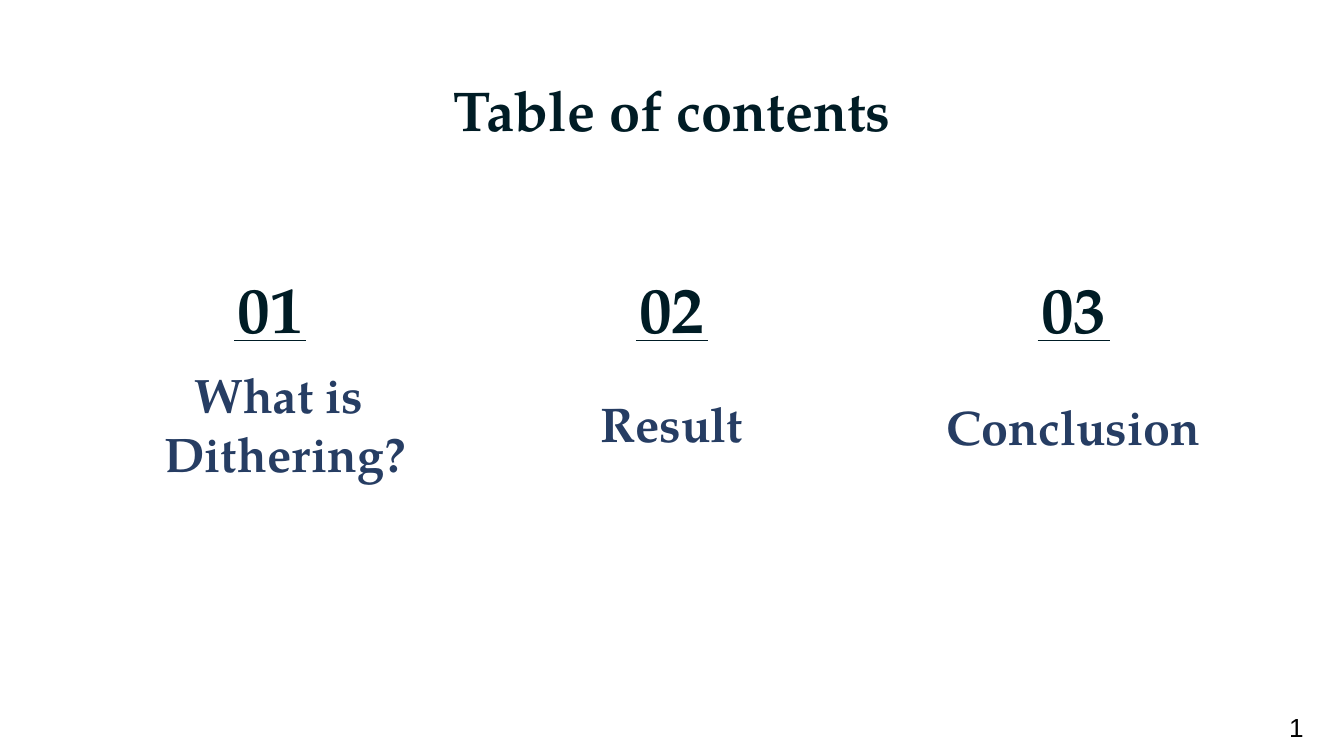
from lxml import etree
from pptx import Presentation
from pptx.dml.color import RGBColor
from pptx.enum.shapes import MSO_CONNECTOR
from pptx.enum.text import MSO_ANCHOR, MSO_AUTO_SIZE, PP_ALIGN
from pptx.oxml.ns import qn
from pptx.util import Pt

# Content
TITLE = "Table of contents"
SECTIONS = [  # number, label lines, label centre offset, label top, label width
    ("01", ["What is ", "Dithering?"], 8, 206, 242),
    ("02", ["Result"], 0, 206, 226),
    ("03", ["Conclusion"], 0, 207.5, 226),
]
PAGE_NUMBER = "1"

# Style and grid, in points
COLORS = {"ink": "001C25", "label": "263D63", "black": "000000"}
SERIF = "TeX Gyre Pagella"
PAGE_WIDTH, PAGE_HEIGHT = 720, 405
FIRST_CENTER, COLUMN_STEP = 144.75, 215.25
NUMBER_WIDTH, RULE_WIDTH, RULE_TOP = 62.6, 38.6, 182.3


def write(box, bounds, lines, size, color, font=SERIF, bold=True,
          align=PP_ALIGN.CENTER, anchor=MSO_ANCHOR.MIDDLE, inset=7.2):
    box.left, box.top, box.width, box.height = map(Pt, bounds)
    frame = box.text_frame
    frame.word_wrap = True
    frame.auto_size = MSO_AUTO_SIZE.NONE
    frame.vertical_anchor = anchor
    frame.margin_left = frame.margin_right = Pt(7.2)
    frame.margin_top = frame.margin_bottom = Pt(inset)
    frame.text = "\n".join(lines)
    for paragraph in frame.paragraphs:
        paragraph.alignment = align
        paragraph.font.name = font
        paragraph.font.size = Pt(size)
        paragraph.font.bold = bold
        paragraph.font.color.rgb = RGBColor.from_string(COLORS[color])


def add_text(page, *args, **style):
    write(page.shapes.add_textbox(0, 0, 0, 0), *args, **style)


def add_rule(page, center):
    left, right = center - RULE_WIDTH / 2, center + RULE_WIDTH / 2
    rule = page.shapes.add_connector(
        MSO_CONNECTOR.STRAIGHT, Pt(left), Pt(RULE_TOP), Pt(right), Pt(RULE_TOP))
    rule.line.color.rgb = RGBColor.from_string(COLORS["ink"])
    rule.line.width = Pt(0.75)
    etree.SubElement(rule.element.spPr, qn("a:effectLst"))


deck = Presentation()
deck.slide_width, deck.slide_height = Pt(PAGE_WIDTH), Pt(PAGE_HEIGHT)
page = deck.slides.add_slide(deck.slide_layouts[5])

# Title
write(page.shapes.title, (56.6, 35.5, 607, 45.4), [TITLE], 30, "ink")

# One column per section: label, number and rule
for index, (number, label, offset, top, width) in enumerate(SECTIONS):
    center = FIRST_CENTER + index * COLUMN_STEP
    add_text(page, (center + offset - width / 2, top, width, 41.8),
             label, 26, "label")
    add_text(page, (center - NUMBER_WIDTH / 2, 147, NUMBER_WIDTH, 35.3),
             [number], 35, "ink")
    add_rule(page, center)

# Page number
add_text(page, (683.5, 377.5, 22.3, 24.2), [PAGE_NUMBER], 14, "black",
         font="Arial", bold=False, align=PP_ALIGN.LEFT,
         anchor=MSO_ANCHOR.TOP, inset=3.6)

deck.save("out.pptx")
